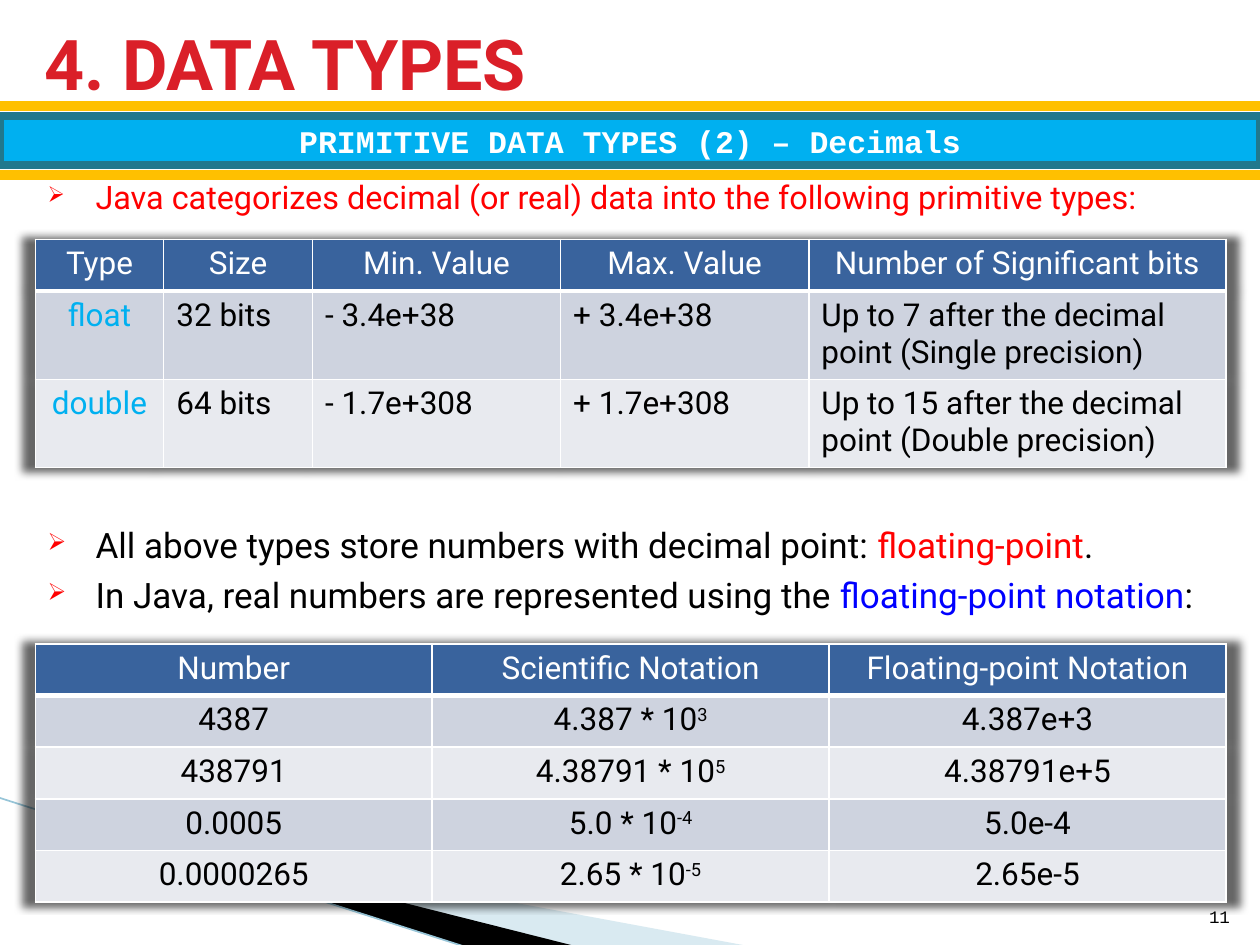
"""Build the slide on Java's decimal primitive data types."""
import pptx
import pptx.util
import pptx.dml.color
import pptx.enum.shapes
import pptx.enum.text
import pptx.oxml
import pptx.oxml.ns

Inches = pptx.util.Inches
Pt = pptx.util.Pt
ALIGN = pptx.enum.text.PP_ALIGN
ANCHOR = pptx.enum.text.MSO_ANCHOR
NAMESPACE = pptx.oxml.ns.nsdecls("a")
LEFT, WIDTH = 0.28, 9.45
ROW_HEIGHT = 0.41
COLORS = {
    "title": "DA1F28", "gold": "FFC000", "sky": "00B0F0", "teal": "21788D",
    "white": "FFFFFF", "black": "000000", "red": "FF0000", "blue": "0000FF",
    "header": "39639D", "dark band": "CED3DF", "light band": "E8EAEF",
    "wedge": "A0CBDC", "edge": "97C5D8",
}


def rgb(name):
    return pptx.dml.color.RGBColor.from_string(COLORS[name])


def paint(fill, color):
    fill.solid()
    fill.fore_color.rgb = rgb(color)


def add_xml(parent, markup):
    tag, rest = markup.split(" ", 1)
    parent.append(pptx.oxml.parse_xml(f"{tag} {NAMESPACE} {rest}"))


def add_span(para, text, size, color, font="Roboto", bold=False):
    span = para.add_run()
    span.text = text
    span.font.size = Pt(size)
    span.font.name = font
    span.font.bold = bold
    span.font.color.rgb = rgb(color)
    return span


def add_line(page, start, end, color, width):
    line = page.shapes.add_connector(
        pptx.enum.shapes.MSO_CONNECTOR.STRAIGHT,
        *(Inches(value) for value in start + end))
    line.line.color.rgb = rgb(color)
    line.line.width = Pt(width)
    add_xml(line._element.spPr, "<a:effectLst />")


def add_wedge(page, points, color, opacity=100):
    corners = [(Inches(x), Inches(y)) for x, y in points]
    builder = page.shapes.build_freeform(*corners[0], scale=1.0)
    builder.add_line_segments(corners[1:], close=True)
    wedge = builder.convert_to_shape()
    wedge.shadow.inherit = False
    wedge.line.fill.background()
    paint(wedge.fill, color)
    if opacity < 100:
        shade = wedge._element.spPr.find(".//" + pptx.oxml.ns.qn("a:srgbClr"))
        add_xml(shade, f'<a:alpha val="{opacity * 1000}"/>')


def add_title(page, text):
    title = page.shapes.title
    title.left, title.top = Inches(0.25), Inches(0.17)
    title.width, title.height = Inches(9.47), Inches(0.65)
    frame = title.text_frame
    frame.auto_size = pptx.enum.text.MSO_AUTO_SIZE.NONE
    frame.vertical_anchor = ANCHOR.MIDDLE
    para = frame.paragraphs[0]
    para.alignment = ALIGN.LEFT
    add_span(para, text, 40, "title", bold=True)


def add_banner(page, text):
    banner = page.shapes.add_shape(
        pptx.enum.shapes.MSO_SHAPE.RECTANGLE,
        Inches(0), Inches(0.92), Inches(10), Inches(0.39))
    banner.shadow.inherit = False
    paint(banner.fill, "sky")
    banner.line.color.rgb = rgb("teal")
    banner.line.width = Pt(4.33)
    banner.text_frame.vertical_anchor = ANCHOR.MIDDLE
    para = banner.text_frame.paragraphs[0]
    para.alignment = ALIGN.CENTER
    add_span(para, text, 18, "white", "Courier New", True)


def add_text_box(page, left, top, width, height):
    box = page.shapes.add_textbox(
        Inches(left), Inches(top), Inches(width), Inches(height))
    box.text_frame.word_wrap = True
    return box.text_frame


def add_bullet(page, top, size, spans):
    para = add_text_box(page, LEFT, top, WIDTH, 0.47).paragraphs[0]
    para.alignment = ALIGN.JUSTIFY
    para.line_spacing = 0.9
    properties = para._p.get_or_add_pPr()
    properties.set("marL", str(Inches(0.38)))
    properties.set("indent", str(Inches(-0.38)))
    add_xml(properties, f'<a:buClr ><a:srgbClr val="{COLORS["red"]}"/></a:buClr>')
    add_xml(properties, '<a:buSzPct val="68000"/>')
    add_xml(properties, '<a:buChar char="➢"/>')
    for text, color in spans:
        add_span(para, text, size, color)


def format_cell(cell, text, fill, color, alignment, header):
    properties = cell._tc.get_or_add_tcPr()
    for side in "LRTB":
        width = Pt(3 if header and side == "B" else 1)
        add_xml(properties, f'<a:ln{side} w="{width}"><a:solidFill><a:srgbClr '
                f'val="{COLORS["white"]}"/></a:solidFill></a:ln{side}>')
    paint(cell.fill, fill)
    para = cell.text_frame.paragraphs[0]
    para.alignment = alignment
    base, _, exponent = text.partition("^")
    add_span(para, base, 18, color)
    if exponent:
        power = add_span(para, exponent, 18, color)
        power._r.get_or_add_rPr().set("baseline", "30000")


def add_grid(page, top, widths, body_height, rows, centered, key_color):
    height = ROW_HEIGHT + body_height * (len(rows) - 1)
    table = page.shapes.add_table(
        len(rows), len(widths), Inches(LEFT), Inches(top),
        Inches(WIDTH), Inches(height)).table
    add_xml(table._tbl.tblPr, '<a:effectLst ><a:outerShdw blurRad="63500" '
            'sx="102000" sy="102000" algn="ctr" rotWithShape="0"><a:srgbClr '
            'val="000000"><a:alpha val="60000"/></a:srgbClr></a:outerShdw></a:effectLst>')
    style = table._tbl.tblPr.find(pptx.oxml.ns.qn("a:tableStyleId"))
    table._tbl.tblPr.append(style)
    for column, width in zip(table.columns, widths):
        column.width = Inches(width)
    for i, texts in enumerate(rows):
        header = i == 0
        table.rows[i].height = Inches(ROW_HEIGHT if header else body_height)
        fill = "header" if header else ("light band", "dark band")[i % 2]
        for j, text in enumerate(texts):
            color = "white" if header else key_color if j == 0 else "black"
            alignment = ALIGN.CENTER if header or j in centered else ALIGN.LEFT
            format_cell(table.cell(i, j), text, fill, color, alignment, header)


def add_page_number(page, text):
    frame = add_text_box(page, 9.46, 7.01, 0.4, 0.4)
    frame.vertical_anchor = ANCHOR.BOTTOM
    frame.paragraphs[0].alignment = ALIGN.RIGHT
    add_span(frame.paragraphs[0], text, 10, "black", "Courier New")


def main():
    deck = pptx.Presentation()
    deck.slide_width, deck.slide_height = Inches(10), Inches(7.5)
    page = deck.slides.add_slide(deck.slide_layouts.get_by_name("Title Only"))
    add_wedge(page, [(0.55, 6.51), (5.95, 7.51), (4.56, 7.51), (0.55, 6.5)], "wedge", 40)
    add_wedge(page, [(0.53, 6.49), (4.57, 7.51), (3.72, 7.52), (0.54, 6.5)], "black")
    add_line(page, (-0.01, 6.33), (3.71, 7.52), "edge", 0.95)
    add_title(page, "4. DATA TYPES")
    add_banner(page, "PRIMITIVE DATA TYPES (2) – Decimals")
    for height in (0.84, 1.39):
        add_line(page, (0, height), (10, height), "gold", 6)
    add_bullet(page, 1.39, 18.5, [
        ("Java categorizes decimal (or real) data into the following primitive types:", "red")])
    add_grid(page, 1.9, [1.02, 1.18, 1.97, 1.97, 3.31], 0.69, [
        ("Type", "Size", "Min. Value", "Max. Value", "Number of Significant bits"),
        ("float", "32 bits", "- 3.4e+38", "+ 3.4e+38",
         "Up to 7 after the decimal point (Single precision)"),
        ("double", "64 bits", "- 1.7e+308", "+ 1.7e+308",
         "Up to 15 after the decimal point (Double precision)"),
    ], {0}, "sky")
    add_bullet(page, 4.14, 20, [
        ("All above types store numbers with decimal point: ", "black"),
        ("floating-point", "red"), (".", "black")])
    add_bullet(page, 4.54, 20, [
        ("In Java, real numbers are represented using the ", "black"),
        ("floating-point notation", "blue"), (":", "black")])
    add_grid(page, 5.11, [WIDTH / 3] * 3, ROW_HEIGHT, [
        ("Number", "Scientific Notation", "Floating-point Notation"),
        ("4387", "4.387 * 10^3", "4.387e+3"),
        ("438791", "4.38791 * 10^5", "4.38791e+5"),
        ("0.0005", "5.0 * 10^-4", "5.0e-4"),
        ("0.0000265", "2.65 * 10^-5", "2.65e-5"),
    ], {0, 1, 2}, "black")
    add_page_number(page, "11")
    deck.save("out.pptx")


if __name__ == "__main__":
    main()
